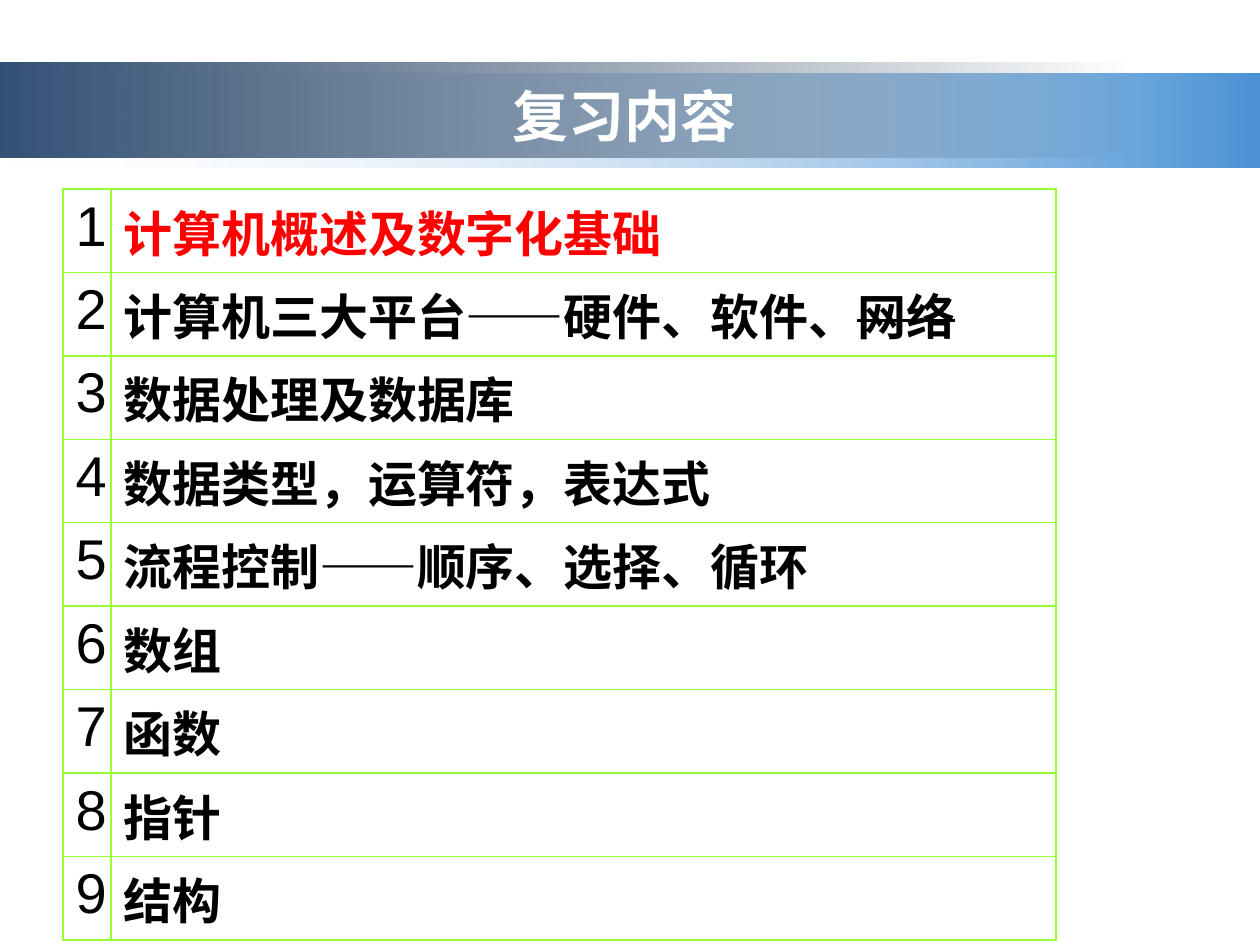
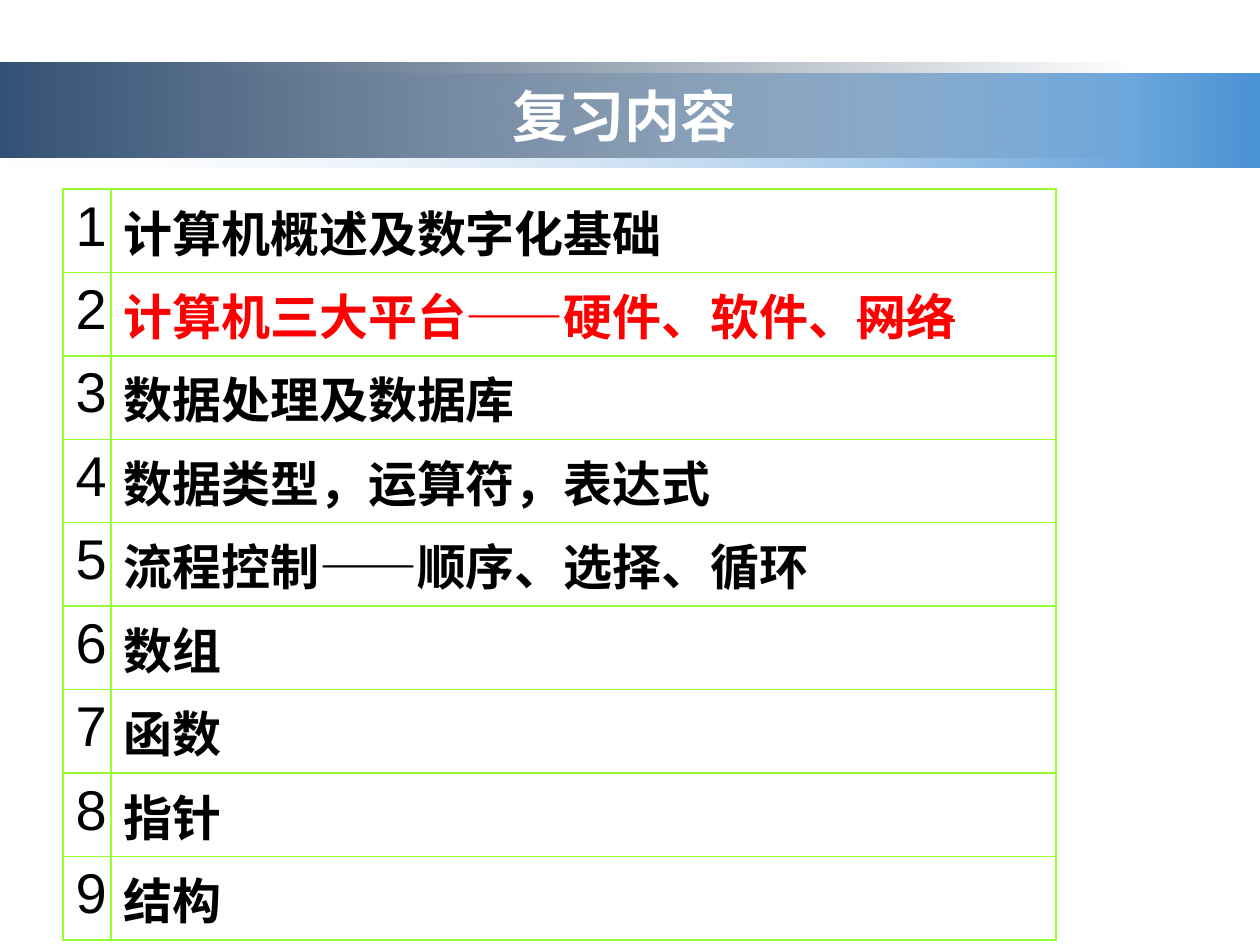
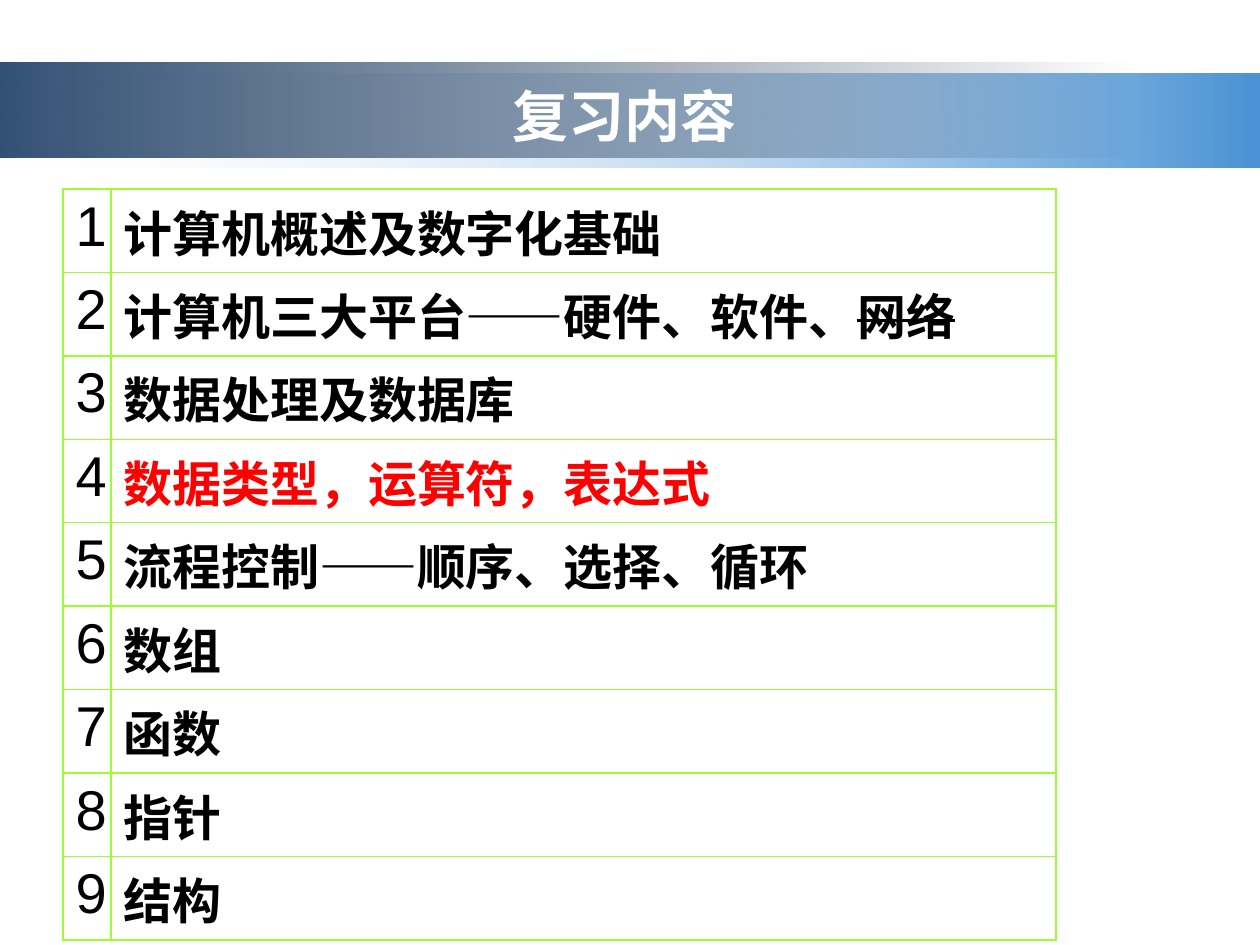
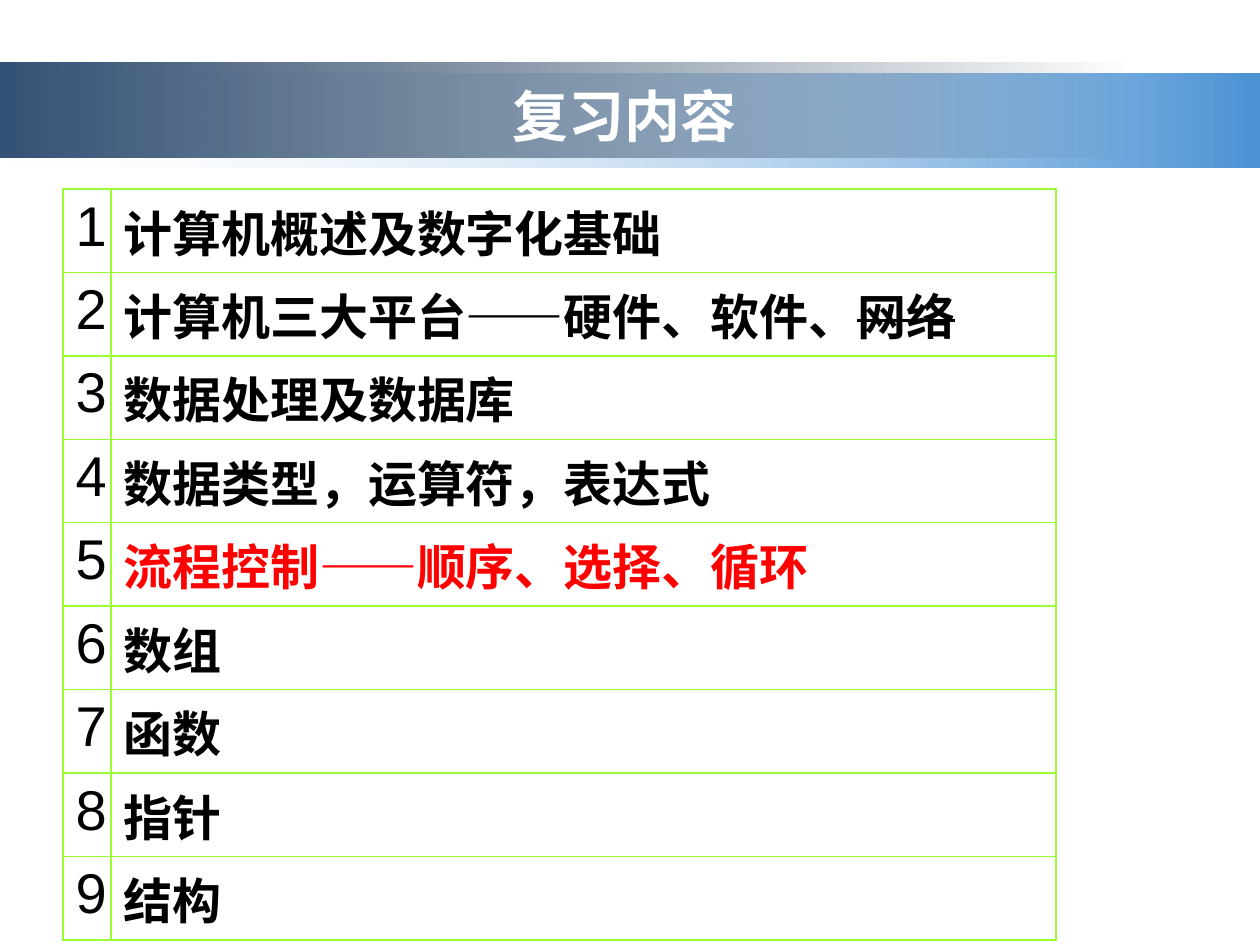
"""Build four review outline slides, each highlighting one topic."""
from dataclasses import dataclass

from lxml.etree import SubElement
from pptx import Presentation
from pptx.dml.color import RGBColor
from pptx.enum.shapes import MSO_SHAPE as SHAPE
from pptx.enum.text import MSO_ANCHOR as ANCHOR, MSO_AUTO_SIZE as AUTO, PP_ALIGN as ALIGN
from pptx.oxml.ns import qn
from pptx.util import Pt

PX = 9144
WHITE = RGBColor(0xFF, 0xFF, 0xFF)
BLACK = RGBColor(0x00, 0x00, 0x00)
RED = RGBColor(0xFF, 0x00, 0x00)
LIME = RGBColor(0x99, 0xFF, 0x33)
PALE = RGBColor(0xF1, 0xF5, 0xFA)
SKY = RGBColor(0x4B, 0x93, 0xD5)
NAVY = RGBColor(0x33, 0x51, 0x75)
INK = RGBColor(0x24, 0x3A, 0x54)
BODY_FONT = "Arial"
TITLE_FONT = "Noto Sans CJK SC"
TITLE = "复习内容"
COLUMNS = (38, 750)
ROW_HEIGHT = 63


@dataclass(frozen=True)
class Band:
    top: int
    width: int
    start: RGBColor
    end: RGBColor
    clear_stop: int


@dataclass(frozen=True)
class Topic:
    text: str
    struck: str = ""
    height: int = ROW_HEIGHT


BANDS = (
    Band(58, 1000, PALE, SKY, clear_stop=0),
    Band(50, 900, NAVY, INK, clear_stop=1),
)
TOPICS = (
    Topic("计算机概述及数字化基础"),
    Topic("计算机三大平台——硬件、软件、", struck="网络"),
    Topic("数据处理及数据库"),
    Topic("数据类型，运算符，表达式", height=54),
    Topic("流程控制——顺序、选择、循环"),
    Topic("数组"),
    Topic("函数"),
    Topic("指针"),
    Topic("结构"),
)
HIGHLIGHTS = (1, 2, 4, 5)


def style_run(r, size: int, color: RGBColor, bold: bool, name: str = BODY_FONT) -> None:
    r.font.size = Pt(size)
    r.font.bold = bold
    r.font.name = name
    r.font.color.rgb = color


def add_band(s, layout, band: Band) -> None:
    sp = s.shapes.add_shape(SHAPE.RECTANGLE, 0, band.top * PX, band.width * PX, 75 * PX)
    sp.shadow.inherit = False
    sp.line.fill.background()
    sp.fill.gradient()
    sp.fill.gradient_angle = 0
    for stop, color in zip(sp.fill.gradient_stops, (band.start, band.end)):
        stop.color.rgb = color
    colors = list(sp.element.spPr.iter(qn("a:srgbClr")))
    SubElement(colors[band.clear_stop], qn("a:alpha"), val="0")
    layout.shapes.element.append(sp.element)


def set_title(s) -> None:
    sp = s.shapes.title
    sp.left, sp.top, sp.width, sp.height = (v * PX for v in (92, 60, 808, 62))
    tf = sp.text_frame
    tf.text = TITLE
    tf.auto_size = AUTO.NONE
    tf.vertical_anchor = ANCHOR.MIDDLE
    p = tf.paragraphs[0]
    p.alignment = ALIGN.CENTER
    r = p.runs[0]
    style_run(r, 32, WHITE, True, TITLE_FONT)
    SubElement(r.font._element, qn("a:ea"), typeface=TITLE_FONT)


def style_cell(cell) -> None:
    tcPr = cell._tc.get_or_add_tcPr()
    for side in ("lnL", "lnR", "lnT", "lnB"):
        ln = SubElement(tcPr, qn(f"a:{side}"), w=str(Pt(1)))
        fill = SubElement(ln, qn("a:solidFill"))
        SubElement(fill, qn("a:srgbClr"), val=str(LIME))
    cell.fill.solid()
    cell.fill.fore_color.rgb = WHITE


def fill_topic(p, topic: Topic, color: RGBColor) -> None:
    p.text = topic.text
    if topic.struck:
        r = p.add_run()
        r.text = topic.struck
        r.font._element.set("strike", "sngStrike")
    for r in p.runs:
        style_run(r, 28, color, True)


def add_topics(s, highlight: int) -> None:
    height = sum(topic.height for topic in TOPICS)
    frame = s.shapes.add_table(len(TOPICS), len(COLUMNS), 50 * PX, 150 * PX,
                               sum(COLUMNS) * PX, height * PX)
    table = frame.table
    table.first_row = table.horz_banding = False
    for column, width in zip(table.columns, COLUMNS):
        column.width = width * PX
    for number, (row, topic) in enumerate(zip(table.rows, TOPICS), 1):
        row.height = topic.height * PX
        for cell in row.cells:
            style_cell(cell)
        p, topic_p = (cell.text_frame.paragraphs[0] for cell in row.cells)
        p.text = str(number)
        p.alignment = ALIGN.CENTER
        style_run(p.runs[0], 32, BLACK, False)
        fill_topic(topic_p, topic, RED if number == highlight else BLACK)


def main() -> None:
    prs = Presentation()
    prs.slide_width, prs.slide_height = 1000 * PX, 750 * PX
    layout = prs.slide_layouts.get_by_name("Title Only")
    slides = [prs.slides.add_slide(layout) for _ in HIGHLIGHTS]
    for band in BANDS:
        add_band(slides[0], layout, band)
    for s, highlight in zip(slides, HIGHLIGHTS):
        add_topics(s, highlight)
        set_title(s)
    prs.save("out.pptx")


if __name__ == "__main__":
    main()
